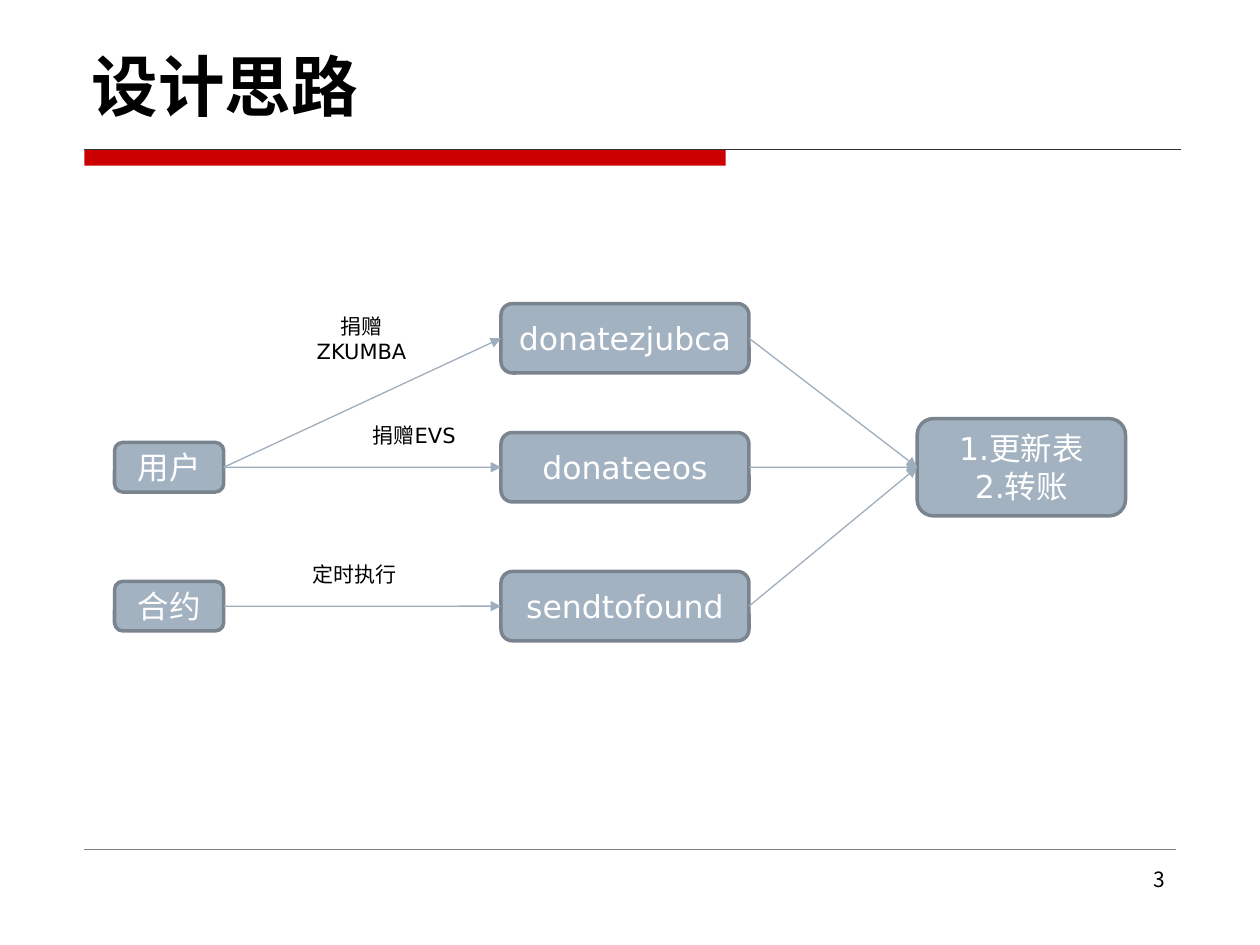
import pptx
import pptx.util
import pptx.dml.color
import pptx.enum.shapes
import pptx.enum.text
import pptx.oxml.ns
import lxml.etree

Cm = pptx.util.Cm
Pt = pptx.util.Pt
Kind = pptx.enum.shapes.MSO_SHAPE
Align = pptx.enum.text.PP_ALIGN
Anchor = pptx.enum.text.MSO_ANCHOR
qn = pptx.oxml.ns.qn
cjk = "Noto Sans CJK SC"
sans = "DejaVu Sans"


def tint(item, code):
    if hasattr(item, "solid"):
        item.solid()
        item = item.fore_color
    item.rgb = pptx.dml.color.RGBColor.from_string(code)


def write(shape, text, code, align, anchor, style):
    frame = shape.text_frame
    frame.word_wrap = True
    frame.vertical_anchor = anchor
    frame.text = text
    for para in frame.paragraphs:
        para.alignment = align
        for run in para.runs:
            for key, value in style.items():
                setattr(run.font, key, value)
            tint(run.font.color, code)
            east = lxml.etree.Element(qn("a:ea"), typeface=cjk)
            run.font._element.find(qn("a:latin")).addnext(east)


deck = pptx.Presentation()
deck.slide_width = Cm(25.4)
deck.slide_height = Cm(19.05)
slide = deck.slides.add_slide(deck.slide_layouts[6])
shapes = slide.shapes

bar = shapes.add_shape(Kind.RECTANGLE, Cm(1.7), Cm(3.02), Cm(12.93), Cm(0.32))
bar.shadow.inherit = False
tint(bar.fill, "CC0000")
bar.line.fill.background()

heads = [
    ("设计思路", 1.6, 0.53, 22.23, 2.11, Align.LEFT, Anchor.BOTTOM,
     {"name": cjk, "size": Pt(38), "bold": True}),
    ("3", 21.11, 17.35, 2.62, 1.32, Align.RIGHT, Anchor.TOP,
     {"name": cjk, "size": Pt(12)}),
]
for text, left, top, wide, high, align, anchor, style in heads:
    box = shapes.add_textbox(Cm(left), Cm(top), Cm(wide), Cm(high))
    write(box, text, "000000", align, anchor, style)

rows = [6.82, 9.42, 12.22]
small = (2.31, 2.2, 1.0)
mid = (10.1, 5.0, 1.4)
large = (18.49, 4.2, 1.96)
nodes = {
    "user": ("用户", small, rows[1]),
    "token": ("donatezjubca", mid, rows[0]),
    "coin": ("donateeos", mid, rows[1]),
    "timer": ("合约", small, rows[2]),
    "send": ("sendtofound", mid, rows[2]),
    "end": ("1.更新表\n2.转账", large, rows[1]),
}
boxes = {}
for name, (text, (left, wide, high), row) in nodes.items():
    box = shapes.add_shape(Kind.ROUNDED_RECTANGLE, Cm(left), Cm(row - high / 2), Cm(wide), Cm(high))
    box.shadow.inherit = False
    tint(box.fill, "A3B2C1")
    tint(box.line.color, "79848F")
    box.line.width = Pt(2)
    write(box, text, "FFFFFF", Align.CENTER, Anchor.MIDDLE, {"name": sans, "size": Pt(18)})
    boxes[name] = box

lines = []
rules = [(3.02, 23.8, "333333", 0.75), (17.12, 23.7, "808080", 0.25)]
for top, right, code, width in rules:
    line = shapes.add_connector(1, Cm(1.7), Cm(top), Cm(right), Cm(top))
    lines.append((line, code, width))

links = [("user", "token"), ("user", "coin"), ("timer", "send"),
         ("token", "end"), ("coin", "end"), ("send", "end")]
for start, stop in links:
    line = shapes.add_connector(1, 0, 0, 0, 0)
    line.begin_connect(boxes[start], 3)
    line.end_connect(boxes[stop], 1)
    lines.append((line, "9FAEBD", 0.75))
    lxml.etree.SubElement(line.line._get_or_add_ln(), qn("a:tailEnd"), type="triangle")

for line, code, width in lines:
    tint(line.line.fill, code)
    line.line.width = Pt(width)
    lxml.etree.SubElement(line._element.spPr, qn("a:effectLst"))

notes = [("捐赠ZKUMBA", 5.59, 6.22), ("捐赠EVS", 6.65, 8.18), ("定时执行", 5.44, 10.97)]
for text, left, top in notes:
    note = shapes.add_shape(Kind.OVAL, Cm(left), Cm(top), Cm(3.4), Cm(1.2))
    note.shadow.inherit = False
    tint(note.fill, "FFFFFF")
    note.line.fill.background()
    write(note, text, "000000", Align.CENTER, Anchor.MIDDLE, {"name": sans, "size": Pt(12)})

deck.save("out.pptx")
